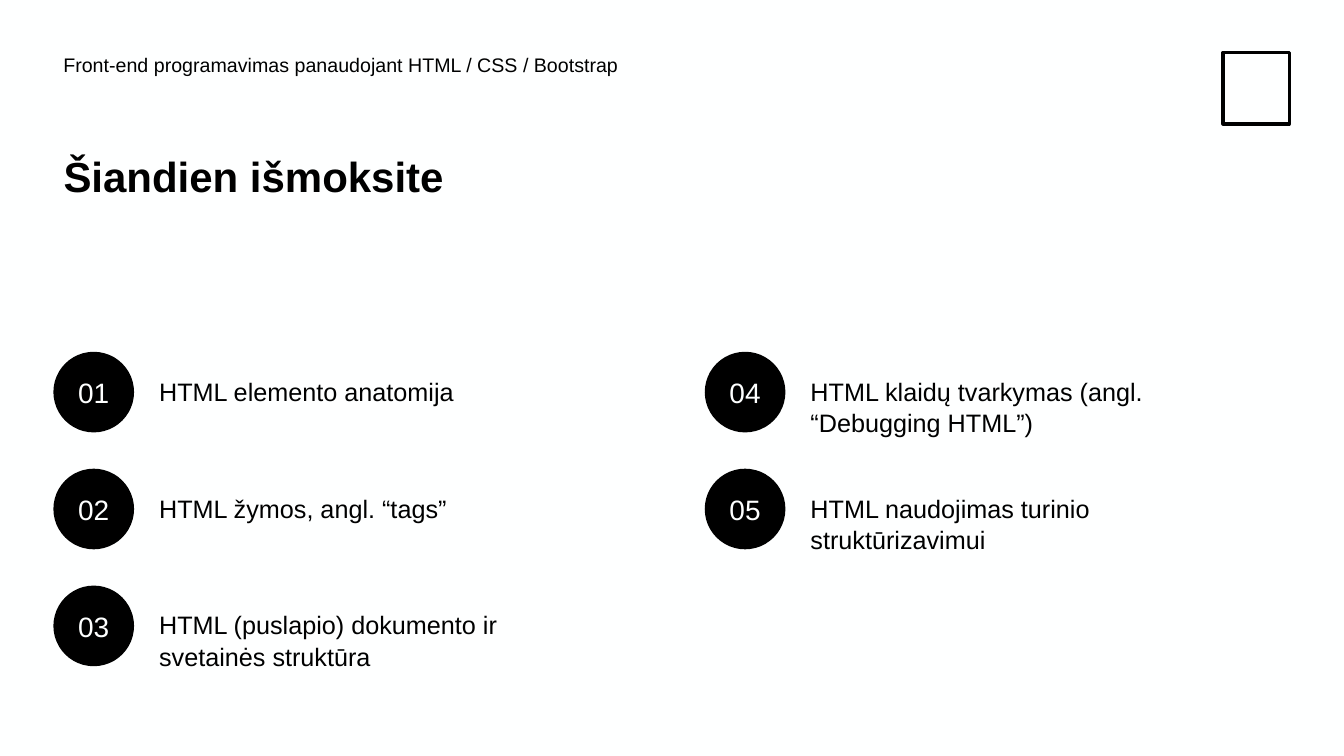
from pptx import Presentation
from pptx.dml.color import RGBColor
from pptx.enum.shapes import MSO_SHAPE
from pptx.enum.text import MSO_ANCHOR, MSO_AUTO_SIZE, PP_ALIGN
from pptx.util import Inches, Pt

COLORS = {"ink": "000000", "paper": "FEFFFF"}
FONT = "Arial"
TOPICS = [
    "HTML elemento anatomija",
    "HTML žymos, angl. “tags”",
    "HTML (puslapio) dokumento ir svetainės struktūra",
    "HTML klaidų tvarkymas (angl. “Debugging HTML”)",
    "HTML naudojimas turinio struktūrizavimui",
]

# Topic grid, in inches: filled column by column
ROWS = 3
GRID_LEFT, GRID_TOP = 0.53, 3.49
COLUMN_STEP, ROW_STEP = 6.46, 1.16
BADGE_SIZE = 0.8


def color(name):
    return RGBColor.from_string(COLORS[name])


def write(shape, text, size, ink="ink", bold=False, align=PP_ALIGN.LEFT,
          anchor=MSO_ANCHOR.TOP, spacing=1.0):
    frame = shape.text_frame
    frame.word_wrap = True
    frame.auto_size = MSO_AUTO_SIZE.NONE
    frame.vertical_anchor = anchor
    paragraph = frame.paragraphs[0]
    paragraph.alignment = align
    paragraph.line_spacing = spacing
    run = paragraph.add_run()
    run.text = text
    run.font.name = FONT
    run.font.size = Pt(size)
    run.font.bold = bold
    run.font.color.rgb = color(ink)


def add_title(slide, text):
    title = slide.shapes.title
    title.left, title.top = Inches(0.53), Inches(1.5)
    title.width, title.height = Inches(5.64), Inches(1.49)
    write(title, text, 30, bold=True, spacing=0.9)


def add_label(slide, text, left, top, width, height, size, spacing):
    label = slide.shapes.add_textbox(
        Inches(left), Inches(top), Inches(width), Inches(height))
    write(label, text, size, spacing=spacing)


def add_emblem(slide):
    emblem = slide.shapes.add_shape(
        MSO_SHAPE.RECTANGLE, Inches(12.13), Inches(0.52), Inches(0.66), Inches(0.71))
    emblem.shadow.inherit = False
    emblem.fill.background()
    emblem.line.color.rgb = color("ink")
    emblem.line.width = Pt(2.25)


def add_badge(slide, text, left, top):
    badge = slide.shapes.add_shape(
        MSO_SHAPE.OVAL, Inches(left), Inches(top), Inches(BADGE_SIZE), Inches(BADGE_SIZE))
    badge.shadow.inherit = False
    badge.fill.solid()
    badge.fill.fore_color.rgb = color("ink")
    badge.line.fill.background()
    write(badge, text, 20, ink="paper", align=PP_ALIGN.CENTER, anchor=MSO_ANCHOR.MIDDLE)


def add_topic(slide, index, topic):
    column, row = divmod(index, ROWS)
    left = GRID_LEFT + column * COLUMN_STEP
    top = GRID_TOP + row * ROW_STEP
    add_label(slide, topic, left + 0.95, top + 0.175, 4.63, 0.45, 18, spacing=1.05)
    add_badge(slide, f"{index + 1:02d}", left, top)


def main():
    deck = Presentation()
    deck.slide_width, deck.slide_height = Inches(13.33), Inches(7.5)
    slide = deck.slides.add_slide(deck.slide_layouts.get_by_name("Title Only"))
    slide.background.fill.solid()
    slide.background.fill.fore_color.rgb = color("paper")

    # Header
    add_emblem(slide)
    add_label(slide, "Front-end programavimas panaudojant HTML / CSS / Bootstrap",
              0.53, 0.5, 7.42, 0.5, 14, spacing=0.9)
    add_title(slide, "Šiandien išmoksite")

    # Numbered topics
    for index, topic in enumerate(TOPICS):
        add_topic(slide, index, topic)

    deck.save("out.pptx")


if __name__ == "__main__":
    main()
